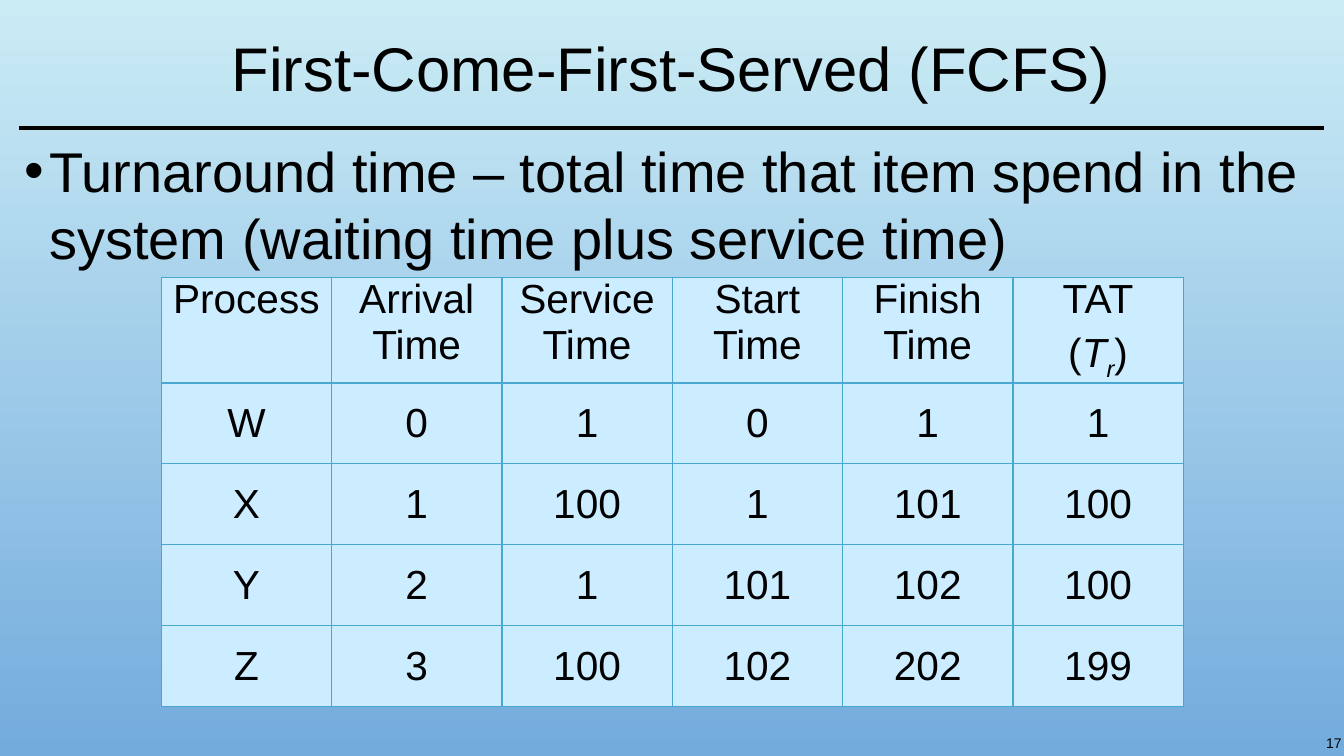
from dataclasses import dataclass

from lxml import etree
from pptx import Presentation
from pptx import util as u
from pptx.dml.color import RGBColor
from pptx.enum import shapes, text
from pptx.oxml import ns

BLACK = RGBColor(0x00, 0x00, 0x00)
SKY = RGBColor(0xCB, 0xEC, 0xF5)
BLUE = RGBColor(0x73, 0xAB, 0xDD)
CELL = RGBColor(0xCC, 0xEC, 0xFF)
EDGE = RGBColor(0x48, 0xA8, 0xD0)
FACE = "Arial"
LEFT, WIDE = 13.68, 932.4
MID = text.MSO_ANCHOR.MIDDLE
TOP = text.MSO_ANCHOR.TOP
CENTER = text.PP_ALIGN.CENTER


@dataclass(frozen=True)
class Span:
    words: str
    slant: bool = False
    shift: int = 0


@dataclass(frozen=True)
class Box:
    left: float
    top: float
    width: float
    height: float


HEAD = [[[Span(name)]] for name in
        ("Process", "Arrival Time", "Service Time", "Start Time", "Finish Time")]
HEAD.append([[Span("TAT")],
             [Span("("), Span("T", True), Span("r", True, -25000), Span(")")]])
JOBS = [
    ("W", 0, 1, 0, 1, 1),
    ("X", 1, 100, 1, 101, 100),
    ("Y", 2, 1, 101, 102, 100),
    ("Z", 3, 100, 102, 202, 199),
]
ROWS = [HEAD] + [[[[Span(str(item))]] for item in job] for job in JOBS]


def node(parent, tag: str, **attrs: str):
    return etree.SubElement(parent, ns.qn(tag), attrs)


def write(para, spans: list[Span], size: float) -> None:
    for span in spans:
        run = para.add_run()
        run.text = span.words
        font = run.font
        font.name, font.size, font.italic = FACE, u.Pt(size), span.slant
        font.color.rgb = BLACK
        if span.shift:
            run._r.get_or_add_rPr().set("baseline", str(span.shift))


def place(shape, box: Box, inset: float, anchor):
    """Move a text shape, set its frame and return its first paragraph."""
    shape.left, shape.top = u.Pt(box.left), u.Pt(box.top)
    shape.width, shape.height = u.Pt(box.width), u.Pt(box.height)
    frame = shape.text_frame
    frame.word_wrap = True
    frame.auto_size = text.MSO_AUTO_SIZE.NONE
    frame.vertical_anchor = anchor
    frame.margin_left = frame.margin_right = u.Pt(inset)
    frame.margin_top = frame.margin_bottom = u.Pt(inset)
    para = frame.paragraphs[0]
    para.space_before = u.Pt(0)
    return para


def bullet(para) -> None:
    props = para._p.get_or_add_pPr()
    props.set("marL", str(u.Pt(18)))
    props.set("indent", str(u.Pt(-18)))
    node(node(props, "a:buClr"), "a:srgbClr", val=str(BLACK))
    node(props, "a:buFont", typeface=FACE)
    node(props, "a:buChar", char="•")


def border(cell) -> None:
    props = cell._tc.get_or_add_tcPr()
    for side in "LRTB":
        line = node(props, f"a:ln{side}", w=str(u.Pt(1)))
        node(node(line, "a:solidFill"), "a:srgbClr", val=str(EDGE))


def fill_cell(cell, paras: list[list[Span]], anchor) -> None:
    border(cell)
    cell.fill.solid()
    cell.fill.fore_color.rgb = CELL
    cell.vertical_anchor = anchor
    cell.margin_left = cell.margin_right = u.Pt(0)
    cell.margin_top = cell.margin_bottom = u.Pt(0)
    frame = cell.text_frame
    for i, spans in enumerate(paras):
        para = frame.add_paragraph() if i else frame.paragraphs[0]
        para.alignment = CENTER
        para.space_before = u.Pt(5.8 if i else 0)
        write(para, spans, 29)


def add_grid(slide, box: Box) -> None:
    grid = slide.shapes.add_table(
        len(ROWS), len(HEAD), u.Pt(box.left), u.Pt(box.top),
        u.Pt(box.width), u.Pt(box.height)).table
    grid.first_row = grid.horz_banding = False
    for col in grid.columns:
        col.width = u.Pt(box.width / len(HEAD))
    for r, row in enumerate(ROWS):
        grid.rows[r].height = u.Pt(57.75 if r else 75.6)
        for c, paras in enumerate(row):
            fill_cell(grid.cell(r, c), paras, MID if r else TOP)


def add_rule(slide, top: float) -> None:
    rule = slide.shapes.add_connector(
        shapes.MSO_CONNECTOR.STRAIGHT, u.Pt(LEFT), u.Pt(top),
        u.Pt(LEFT + WIDE), u.Pt(top))
    rule.line.color.rgb = BLACK
    rule.line.width = u.Pt(2.25)
    node(rule._element.spPr, "a:effectLst")


def main() -> None:
    deck = Presentation()
    deck.slide_width, deck.slide_height = u.Pt(960), u.Pt(540)
    slide = deck.slides.add_slide(deck.slide_layouts[1])

    back = slide.background.fill
    back.gradient()
    back.gradient_angle = 270
    for stop, color in zip(back.gradient_stops, (SKY, BLUE)):
        stop.color.rgb = color

    add_rule(slide, 91.5)

    title = place(slide.shapes.title, Box(LEFT, 12.24, WIDE, 77.04), 3.6, MID)
    title.alignment = CENTER
    title.line_spacing = 0.9
    write(title, [Span("First-Come-First-Served (FCFS)")], 44)

    body = place(slide.placeholders[1], Box(LEFT, 93.6, WIDE, 438.5), 3.6, TOP)
    bullet(body)
    write(body, [Span("Turnaround time – total time that item spend in the "
                      "system (waiting time plus service time)")], 40)

    note = slide.shapes.add_textbox(0, 0, 0, 0)
    page = place(note, Box(916.56, 522.72, 43.2, 16.56), 1.44, MID)
    page.alignment = text.PP_ALIGN.RIGHT
    write(page, [Span("17")], 10)

    add_grid(slide, Box(115.2, 198, 730.08, 306.6))
    deck.save("out.pptx")


if __name__ == "__main__":
    main()
